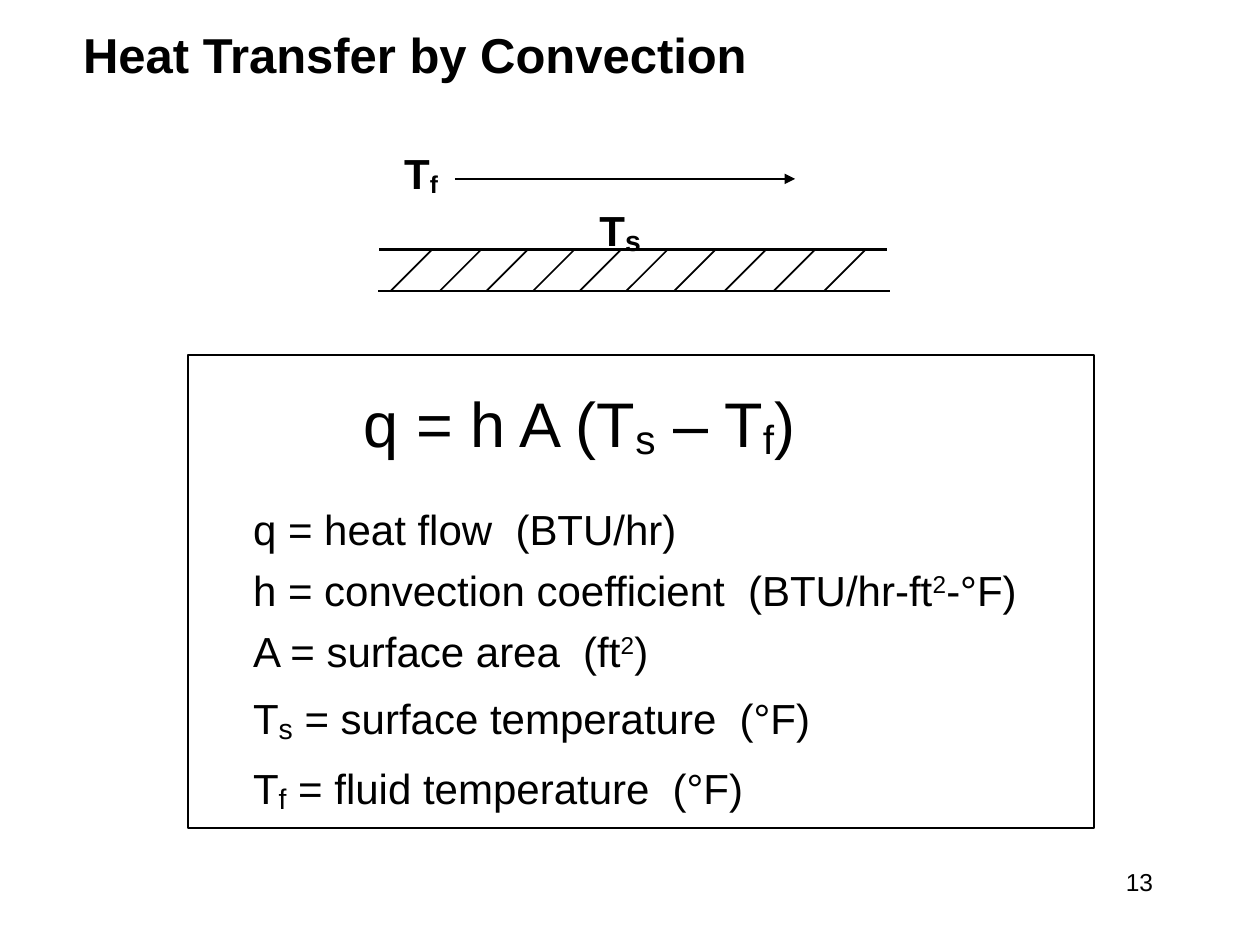
import pptx
import pptx.dml.color
import pptx.enum.shapes
import pptx.enum.text
import pptx.oxml.ns
import pptx.util
from lxml import etree

Inches = pptx.util.Inches
Pt = pptx.util.Pt
Anchor = pptx.enum.text.MSO_ANCHOR
Align = pptx.enum.text.PP_ALIGN

COLOURS = {"ink": "000000", "paper": "FFFFFF"}
SUBSCRIPT = -10000
SUPERSCRIPT = 30000


class SlideBuilder:
    font_name = "Arial"

    def __init__(self, slide):
        self.slide = slide

    def colour(self, name):
        return pptx.dml.color.RGBColor.from_string(COLOURS[name])

    def add_runs(self, paragraph, runs, bold=False):
        for text, size, baseline in runs:
            run = paragraph.add_run()
            run.text = text
            run.font.name = self.font_name
            run.font.size = Pt(size)
            run.font.bold = bold
            run.font.color.rgb = self.colour("ink")
            if baseline:
                run.font._element.set("baseline", str(baseline))

    def title(self, text, left, top, width, height):
        shape = self.slide.shapes.title
        shape.left, shape.top = Inches(left), Inches(top)
        shape.width, shape.height = Inches(width), Inches(height)
        frame = shape.text_frame
        frame.vertical_anchor = Anchor.MIDDLE
        paragraph = frame.paragraphs[0]
        paragraph.alignment = Align.LEFT
        paragraph.line_spacing = 0.9
        self.add_runs(paragraph, [(text, 28, 0)], bold=True)

    def panel(self, left, top, width, height):
        shape = self.slide.shapes.add_shape(
            pptx.enum.shapes.MSO_SHAPE.RECTANGLE,
            Inches(left), Inches(top), Inches(width), Inches(height))
        shape.shadow.inherit = False
        shape.fill.solid()
        shape.fill.fore_color.rgb = self.colour("paper")
        shape.line.color.rgb = self.colour("ink")
        shape.line.width = Pt(1)

    def line(self, start, end, width=1, arrow=False):
        connector = self.slide.shapes.add_connector(
            pptx.enum.shapes.MSO_CONNECTOR.STRAIGHT,
            *(Inches(value) for value in (*start, *end)))
        connector.line.color.rgb = self.colour("ink")
        connector.line.width = Pt(width)
        if arrow:
            outline = connector.line._get_or_add_ln()
            etree.SubElement(outline, pptx.oxml.ns.qn("a:tailEnd"), type="triangle")
        etree.SubElement(connector._element.spPr, pptx.oxml.ns.qn("a:effectLst"))

    def text_box(self, left, top, width, height, wrap=True):
        shape = self.slide.shapes.add_textbox(
            Inches(left), Inches(top), Inches(width), Inches(height))
        shape.text_frame.word_wrap = wrap
        return shape.text_frame

    def label(self, runs, left, top, width, height):
        frame = self.text_box(left, top, width, height, wrap=False)
        frame.auto_size = pptx.enum.text.MSO_AUTO_SIZE.SHAPE_TO_FIT_TEXT
        self.add_runs(frame.paragraphs[0], runs, bold=True)

    def equation_text(self, equation, definitions, left, top, width, height):
        frame = self.text_box(left, top, width, height)
        paragraph = frame.paragraphs[0]
        paragraph.line_spacing = 0.9
        paragraph._p.get_or_add_pPr().set("marL", str(Inches(1.48)))
        self.add_runs(paragraph, equation)
        for index, runs in enumerate(definitions):
            paragraph = frame.add_paragraph()
            paragraph.line_spacing = 0.9
            paragraph.space_before = Pt(9 if index else 26)
            paragraph._p.get_or_add_pPr().set("marL", str(Inches(0.6)))
            self.add_runs(paragraph, runs)

    def page_number(self, number, left, top, width, height):
        frame = self.text_box(left, top, width, height)
        paragraph = frame.paragraphs[0]
        paragraph.alignment = Align.RIGHT
        self.add_runs(paragraph, [(number, 14, 0)])


EQUATION = [
    ("q = h A (T", 36, 0), ("s", 40, SUBSCRIPT),
    (" – T", 36, 0), ("f", 40, SUBSCRIPT), (")", 36, 0),
]
DEFINITIONS = [
    [("q = heat flow  (BTU/hr)", 24, 0)],
    [("h = convection coefficient  (BTU/hr-ft", 24, 0), ("2", 24, SUPERSCRIPT),
     ("-°F)", 24, 0)],
    [("A = surface area  (ft", 24, 0), ("2", 24, SUPERSCRIPT), (")", 24, 0)],
    [("T", 24, 0), ("s", 28, SUBSCRIPT), (" = surface temperature  (°F)", 24, 0)],
    [("T", 24, 0), ("f", 28, SUBSCRIPT), (" = fluid temperature  (°F)", 24, 0)],
]
WALL_TOP, WALL_BOTTOM = 1.98, 2.31
HATCH_LEFTS = [3.1, 3.49, 3.86, 4.23, 4.6, 4.97, 5.35, 5.75, 6.14, 6.54]


def main():
    presentation = pptx.Presentation()
    presentation.slide_width = Inches(10)
    presentation.slide_height = Inches(7.5)
    slide = presentation.slides.add_slide(presentation.slide_layouts[5])
    builder = SlideBuilder(slide)

    builder.panel(1.49, 2.82, 7.19, 3.75)
    builder.title("Heat Transfer by Convection", 0.56, 0.12, 8.77, 0.68)
    builder.equation_text(EQUATION, DEFINITIONS, 1.31, 3.02, 7.32, 3.57)

    builder.line((3, WALL_BOTTOM), (7.06, WALL_BOTTOM), 1.5)
    builder.line((3.01, WALL_TOP), (7.04, WALL_TOP), 1.5)
    for left in HATCH_LEFTS:
        builder.line((left, WALL_BOTTOM), (left + 0.33, WALL_TOP))
    builder.line((3.61, 1.42), (6.31, 1.42), 1.5, arrow=True)

    builder.label([("T", 24, 0), ("f", 24, SUBSCRIPT)], 3.11, 1.12, 0.47, 0.51)
    builder.label([("T", 24, 0), ("s", 28, SUBSCRIPT)], 4.66, 1.52, 0.53, 0.58)
    builder.page_number("13", 7.17, 6.83, 2.08, 0.5)

    presentation.save("out.pptx")


if __name__ == "__main__":
    main()
